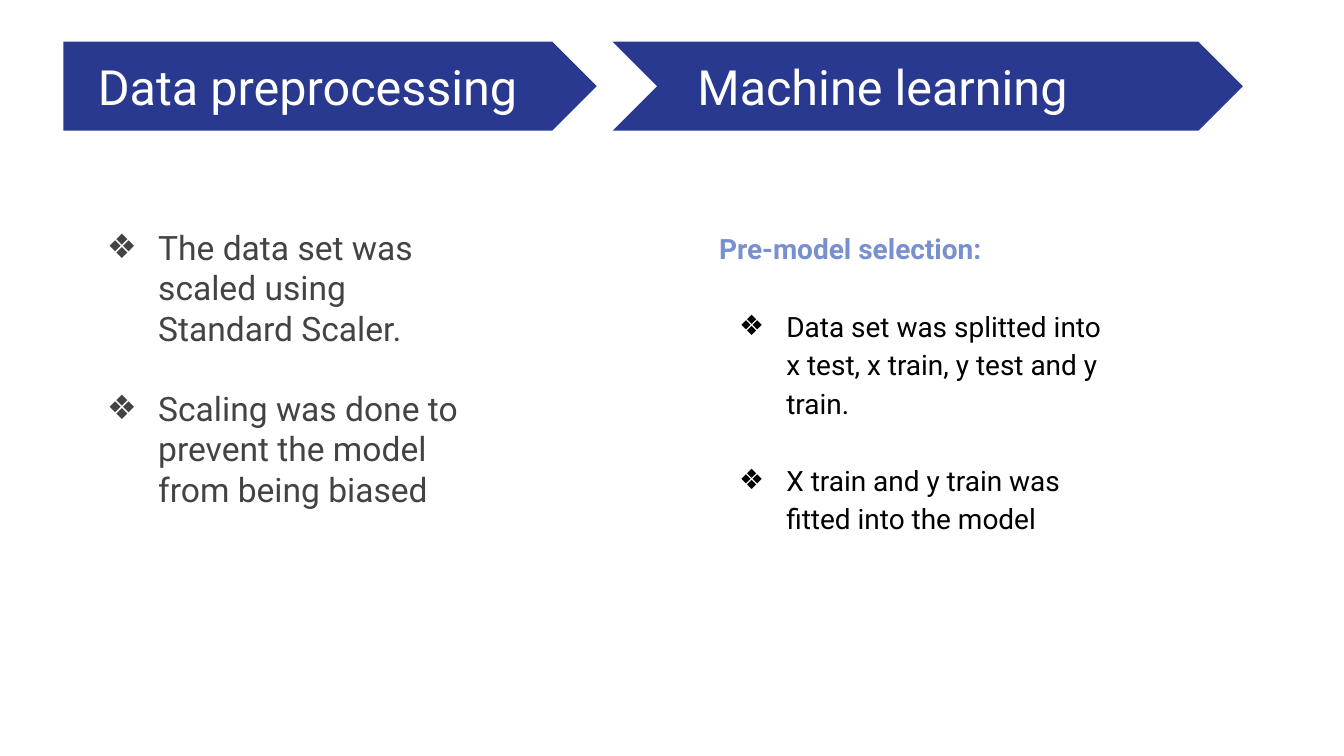
from lxml.etree import SubElement
from pptx import Presentation
from pptx.dml.color import RGBColor
from pptx.enum.shapes import MSO_SHAPE
from pptx.enum.text import MSO_ANCHOR, MSO_AUTO_SIZE, PP_ALIGN
from pptx.oxml.ns import qn
from pptx.util import Cm, Pt

COLORS = {"navy": "2A3990", "white": "FFFFFF", "gray": "434343",
          "blue": "7890CD", "black": "000000"}
FONT = "Roboto"

# Content: a step arrow, its heading and its list; lengths in cm
STEPS = [
    {"heading": "Data preprocessing", "arrow": MSO_SHAPE.PENTAGON,
     "arrow_x": 1.2, "arrow_w": 10.08, "heading_x": 1.6, "list_x": 1.47,
     "intro": None,
     "items": ["The data set was scaled using Standard Scaler.",
               "Scaling was done to prevent the model from being biased"],
     "size": 18, "color": "gray", "line": 1.0, "gap": 21.5, "hang": 0.97},
    {"heading": "Machine learning", "arrow": MSO_SHAPE.CHEVRON,
     "arrow_x": 11.58, "arrow_w": 11.91, "heading_x": 12.93, "list_x": 13.34,
     "intro": "Pre-model selection:",
     "items": ["Data set was splitted into x test, x train, y test and y train.",
               "X train and y train was fitted into the model"],
     "size": 15, "color": "black", "line": 1.15, "gap": 20.6, "hang": 0.89},
]
ARROW_Y, ARROW_H = 0.79, 1.68
HEADING_Y, HEADING_W, HEADING_H = 1.19, 8.71, 0.86
LIST_Y, LIST_W, LIST_H = 4.04, 7.92, 8.59
INDENT = 1.27


def rgb(name):
    return RGBColor.from_string(COLORS[name])


def place(sp, x, y, w, h, anchor):
    sp.left, sp.top, sp.width, sp.height = Cm(x), Cm(y), Cm(w), Cm(h)
    tf = sp.text_frame
    frame = {"word_wrap": True, "auto_size": MSO_AUTO_SIZE.NONE,
             "vertical_anchor": anchor}
    frame.update({f"margin_{side}": Cm(0.25)
                  for side in ("left", "top", "right", "bottom")})
    for key, value in frame.items():
        setattr(tf, key, value)
    return tf


def set_bullet(p, color=None, hang=0):
    pPr = p._p.get_or_add_pPr()
    pPr.set("marL", str(Cm(INDENT if color else 0)))
    pPr.set("indent", str(-Cm(hang)))
    if color:
        clr = SubElement(pPr, qn("a:buClr"))
        SubElement(clr, qn("a:srgbClr"), val=COLORS[color])
        SubElement(pPr, qn("a:buFont"), typeface=FONT)
        SubElement(pPr, qn("a:buChar"), char="❖")
    else:
        SubElement(pPr, qn("a:buNone"))


def write(p, text, size, color, bold=False, line=1.0, before=0):
    for key, value in {"alignment": PP_ALIGN.LEFT, "line_spacing": line,
                       "space_before": Pt(before), "space_after": Pt(0)}.items():
        setattr(p, key, value)
    r = p.add_run()
    r.text = text
    for key, value in {"name": FONT, "size": Pt(size), "bold": bold}.items():
        setattr(r.font, key, value)
    r.font.color.rgb = rgb(color)


prs = Presentation()
prs.slide_width, prs.slide_height = Cm(25.4), Cm(14.29)
s = prs.slides.add_slide(prs.slide_layouts[4])

# The comparison layout holds two headings and two lists
title = s.shapes.title._element
title.getparent().remove(title)
holders = {sp.placeholder_format.idx: sp for sp in s.placeholders}

for i, step in enumerate(STEPS):
    # Arrow, behind the text
    arrow = s.shapes.add_shape(step["arrow"], Cm(step["arrow_x"]), Cm(ARROW_Y),
                               Cm(step["arrow_w"]), Cm(ARROW_H))
    arrow.shadow.inherit = False
    arrow.fill.solid()
    arrow.fill.fore_color.rgb = rgb("navy")
    arrow.line.fill.background()
    s.shapes._spTree.insert(2 + i, arrow._element)

    # Heading
    tf = place(holders[1 + 2 * i], step["heading_x"], HEADING_Y,
               HEADING_W, HEADING_H, MSO_ANCHOR.MIDDLE)
    set_bullet(tf.paragraphs[0])
    write(tf.paragraphs[0], step["heading"], 26, "white")

    # List, with an optional intro line
    tf = place(holders[2 + 2 * i], step["list_x"], LIST_Y,
               LIST_W, LIST_H, MSO_ANCHOR.TOP)
    rows = [(step["intro"], True)] if step["intro"] else []
    rows += [(item, False) for item in step["items"]]
    for n, (text, is_intro) in enumerate(rows):
        p = tf.add_paragraph() if n else tf.paragraphs[0]
        if is_intro:
            set_bullet(p)
        else:
            set_bullet(p, step["color"], step["hang"])
        write(p, text, step["size"], "blue" if is_intro else step["color"],
              is_intro, step["line"], step["gap"] if n else 0)

prs.save("out.pptx")
